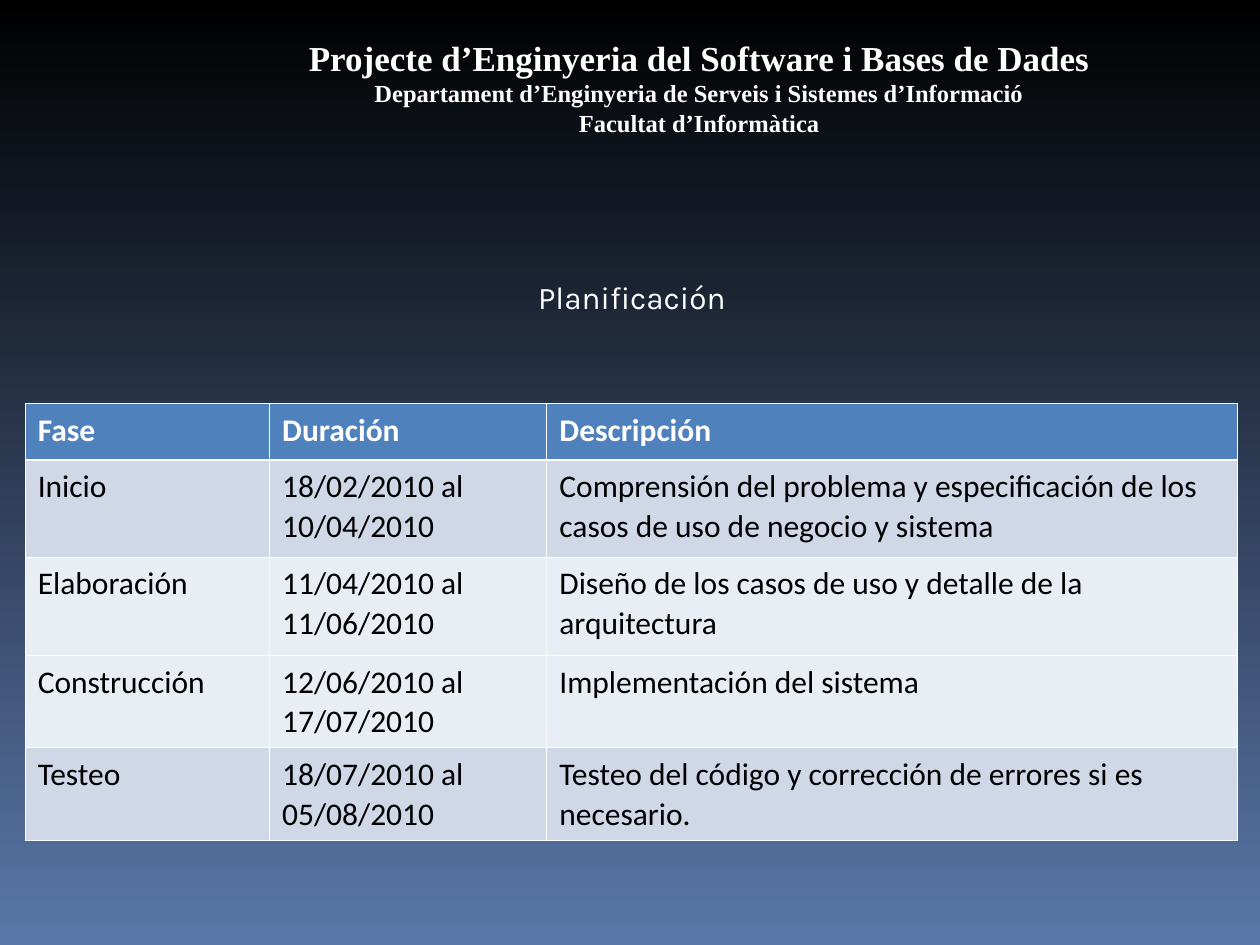
from lxml import etree
from pptx import Presentation
from pptx.dml.color import RGBColor
from pptx.enum.text import MSO_ANCHOR, MSO_AUTO_SIZE, PP_ALIGN
from pptx.oxml.ns import qn
from pptx.util import Inches, Pt

CENTER = PP_ALIGN.CENTER
TOP = MSO_ANCHOR.TOP
NO_FIT = MSO_AUTO_SIZE.NONE
WHITE, BLACK, NAVY = "FFFFFF", "000000", "5A77A9"
BLUE, DARK, LIGHT = "4F81BD", "D0D8E8", "E9EDF4"
FILLS = [BLUE, DARK, LIGHT, LIGHT, DARK]
COLS = [1.94, 2.2, 5.48]
ROWS = [0.45, 0.77, 0.78, 0.73, 0.73]
THIN, THICK = 0.45, 1.47
HEADS = [
    ("Projecte d’Enginyeria del Software i Bases de Dades", 20),
    ("Departament d’Enginyeria de Serveis i Sistemes d’Informació", 14),
    ("Facultat d’Informàtica", 14),
]
PLAN = [
    ("Fase", "Duración", "Descripción"),
    ("Inicio", "18/02/2010 al 10/04/2010",
     "Comprensión del problema y especificación de los casos de uso de negocio y sistema"),
    ("Elaboración", "11/04/2010 al 11/06/2010",
     "Diseño de los casos de uso y detalle de la arquitectura"),
    ("Construcción", "12/06/2010 al 17/07/2010", "Implementación del sistema"),
    ("Testeo", "18/07/2010 al 05/08/2010",
     "Testeo del código y corrección de errores si es necesario."),
]


def color(code):
    """Turn a hex string into a colour."""
    return RGBColor.from_string(code)


def style(para, face, size, code, bold=False):
    """Set the font of a paragraph."""
    font = para.font
    font.name, font.size, font.bold = face, Pt(size), bold
    font.color.rgb = color(code)


def paint(slide):
    """Fill the background with a gradient from top to bottom."""
    fill = slide.background.fill
    fill.gradient()
    fill.gradient_angle = 270
    for stop, code in zip(fill.gradient_stops, (BLACK, NAVY)):
        stop.color.rgb = color(code)


def add_title(slide, left, top, width, height):
    """Place the slide title in the box."""
    title = slide.shapes.title
    title.left, title.top = Inches(left), Inches(top)
    title.width, title.height = Inches(width), Inches(height)
    frame = title.text_frame
    frame.text = "Planificación"
    frame.word_wrap, frame.auto_size = True, NO_FIT
    frame.vertical_anchor = TOP
    para = frame.paragraphs[0]
    para.alignment = CENTER
    style(para, "Karla", 18, WHITE)


def add_head(slide, left, top, width, height):
    """Place the course heading in the box."""
    box = slide.shapes.add_textbox(
        Inches(left), Inches(top), Inches(width), Inches(height))
    frame = box.text_frame
    frame.word_wrap = True
    frame.text = "\n".join(text for text, size in HEADS)
    for para, (text, size) in zip(frame.paragraphs, HEADS):
        para.alignment = CENTER
        style(para, "Times New Roman", size, WHITE, True)


def add_edges(cell, row):
    """Draw white cell borders, thicker below the header row."""
    props = cell._tc.get_or_add_tcPr()
    widths = {"L": THIN, "R": THIN,
              "T": THICK if row == 1 else THIN,
              "B": THICK if row == 0 else THIN}
    for spot, (side, width) in enumerate(widths.items()):
        line = etree.Element(qn(f"a:ln{side}"), w=str(Pt(width)))
        fill = etree.SubElement(line, qn("a:solidFill"))
        etree.SubElement(fill, qn("a:srgbClr"), val=WHITE)
        props.insert(spot, line)


def add_plan(slide, left, top, width, height):
    """Place the table of project phases in the box."""
    table = slide.shapes.add_table(
        len(ROWS), len(COLS), Inches(left), Inches(top),
        Inches(width), Inches(height)).table
    for col, size in zip(table.columns, COLS):
        col.width = Inches(size)
    for row, size in zip(table.rows, ROWS):
        row.height = Inches(size)
    for r, texts in enumerate(PLAN):
        for c, text in enumerate(texts):
            cell = table.cell(r, c)
            cell.text = text
            cell.fill.solid()
            cell.fill.fore_color.rgb = color(FILLS[r])
            add_edges(cell, r)
            para = cell.text_frame.paragraphs[0]
            para.line_spacing = 1.04
            style(para, "Calibri", 18, BLACK if r else WHITE, r == 0)


def main():
    """Build and save the slide."""
    deck = Presentation()
    deck.slide_width, deck.slide_height = Inches(10), Inches(7.5)
    slide = deck.slides.add_slide(deck.slide_layouts[5])
    paint(slide)
    add_title(slide, 0.98, 2.16, 8.07, 0.4)
    add_plan(slide, 0.2, 3.2, sum(COLS), sum(ROWS))
    add_head(slide, 2.27, 0.24, 6.56, 0.78)
    deck.save("out.pptx")


if __name__ == "__main__":
    main()
